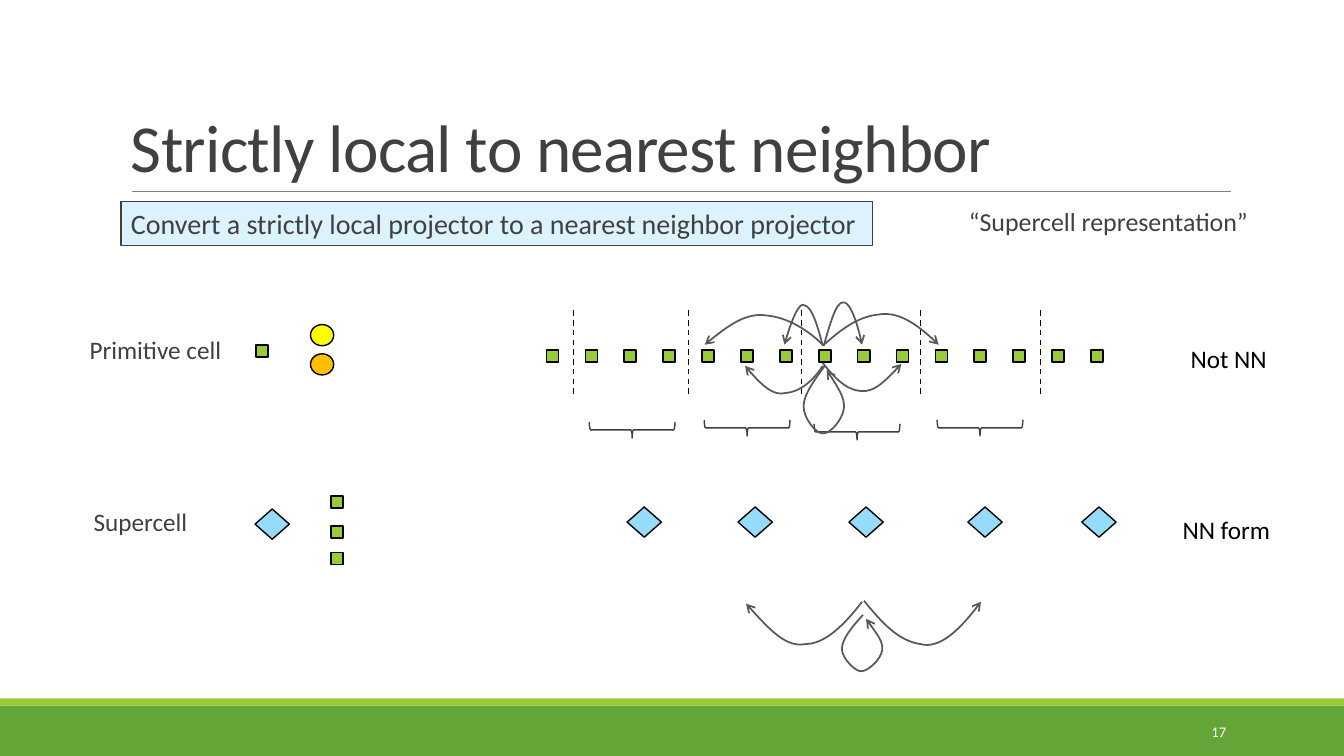
from dataclasses import dataclass

from lxml import etree
from pptx import Presentation
from pptx.dml.color import RGBColor
from pptx.enum.dml import MSO_LINE
from pptx.enum.shapes import MSO_CONNECTOR, MSO_SHAPE
from pptx.enum.text import MSO_ANCHOR, PP_ALIGN
from pptx.oxml.ns import qn
from pptx.util import Inches, Pt

RECTANGLE = MSO_SHAPE.RECTANGLE
ELLIPSE = MSO_SHAPE.OVAL
DIAMOND = MSO_SHAPE.DIAMOND
BRACE = MSO_SHAPE.LEFT_BRACE
STRAIGHT = MSO_CONNECTOR.STRAIGHT
DASH = MSO_LINE.DASH
TOP, MIDDLE, BOTTOM = MSO_ANCHOR.TOP, MSO_ANCHOR.MIDDLE, MSO_ANCHOR.BOTTOM
LEFT, RIGHT = PP_ALIGN.LEFT, PP_ALIGN.RIGHT

COLUMN = ROW = Inches(1)
COLUMNS, ROWS = 13.33, 7.5
SITE_SIZE = 0.12
SITE_STEP = 5.4 / 14
CELL_WIDTH, CELL_HEIGHT = 0.34, 0.3


@dataclass(frozen=True)
class Theme:
    font: str = "Calibri"
    title_size: float = 48
    callout_size: float = 20
    subtitle_size: float = 18.5
    label_size: float = 18
    number_size: float = 10.5
    text: str = "404040"
    black: str = "000000"
    white: str = "FFFFFF"
    footer: str = "63A537"
    accent: str = "99CB38"
    rule: str = "808080"
    arrow: str = "595959"
    supercell: str = "97DBFB"
    callout: str = "DCF3FE"
    yellow: str = "FFFF00"
    orange: str = "FFC000"


THEME = Theme()

PRIMITIVE_HOPS = [
    [(8.16, 3.43), (8.33, 3.28), (8.5, 3.14), (8.72, 3.12), (8.9, 3.09), (9.12, 3.23), (9.31, 3.42)],
    [(8.17, 3.43), (8.02, 3.28), (7.82, 3.15), (7.6, 3.13), (7.41, 3.1), (7.19, 3.25), (6.99, 3.42)],
    [(8.16, 3.6), (8.27, 3.74), (8.39, 3.87), (8.54, 3.88), (8.67, 3.89), (8.81, 3.75), (8.94, 3.61)],
    [(8.16, 3.63), (8.07, 3.77), (7.94, 3.89), (7.79, 3.9), (7.67, 3.93), (7.52, 3.79), (7.39, 3.63)],
    [(8.16, 3.43), (8.11, 3.23), (8.05, 3.04), (7.98, 3.03), (7.93, 2.99), (7.84, 3.2), (7.78, 3.42)],
    [(8.17, 3.43), (8.23, 3.22), (8.29, 3), (8.36, 3), (8.42, 2.99), (8.5, 3.18), (8.55, 3.42)],
    [(8.18, 3.63), (8.07, 3.78), (7.97, 3.92), (7.97, 4.03), (7.97, 4.15), (8.09, 4.3), (8.16, 4.3),
     (8.23, 4.31), (8.36, 4.16), (8.37, 4.05), (8.38, 3.95), (8.29, 3.81), (8.2, 3.67)],
]
SUPERCELL_HOPS = [
    [(8.57, 5.96), (8.74, 6.17), (8.91, 6.36), (9.13, 6.39), (9.31, 6.44), (9.54, 6.23), (9.73, 5.97)],
    [(8.55, 5.97), (8.39, 6.18), (8.19, 6.39), (7.99, 6.39), (7.8, 6.43), (7.59, 6.2), (7.4, 5.99)],
    [(8.56, 6.1), (8.45, 6.22), (8.35, 6.34), (8.35, 6.44), (8.35, 6.53), (8.48, 6.66), (8.54, 6.66),
     (8.61, 6.66), (8.74, 6.54), (8.75, 6.45), (8.76, 6.37), (8.67, 6.25), (8.59, 6.14)],
]


def place(left, top, width, height):
    return (round(left * COLUMN), round(top * ROW),
            round(width * COLUMN), round(height * ROW))


def color(value):
    return RGBColor.from_string(value)


def write_text(shape, text, size=THEME.label_size, ink=THEME.text, align=LEFT,
               anchor=TOP, spacing=None, tracking=None, side_inset=0.1):
    frame = shape.text_frame
    frame.word_wrap = True
    frame.vertical_anchor = anchor
    frame.margin_left = frame.margin_right = round(side_inset * COLUMN)
    paragraph = frame.paragraphs[0]
    paragraph.alignment = align
    if spacing:
        paragraph.line_spacing = spacing
    run = paragraph.add_run()
    run.text = text
    run.font.name = THEME.font
    run.font.size = Pt(size)
    run.font.color.rgb = color(ink)
    if tracking:
        run._r.get_or_add_rPr().set("spc", str(round(tracking * 100)))


def add_label(slide, box, text, **text_format):
    write_text(slide.shapes.add_textbox(*place(*box)), text, **text_format)


def add_figure(slide, kind, box, fill=None, line=None, weight=1, rotation=0):
    shape = slide.shapes.add_shape(kind, *place(*box))
    shape.shadow.inherit = False
    shape.rotation = rotation
    if fill:
        shape.fill.solid()
        shape.fill.fore_color.rgb = color(fill)
    else:
        shape.fill.background()
    if line:
        shape.line.color.rgb = color(line)
        shape.line.width = Pt(weight)
    else:
        shape.line.fill.background()
    return shape


def add_site(slide, left, top):
    add_figure(slide, RECTANGLE, (left, top, SITE_SIZE, SITE_SIZE),
               THEME.accent, THEME.black, 1.25)


def add_supercell(slide, left, top):
    add_figure(slide, DIAMOND, (left, top, CELL_WIDTH, CELL_HEIGHT),
               THEME.supercell, THEME.black)


def add_line(slide, start, end, ink, weight, dash=None):
    connector = slide.shapes.add_connector(STRAIGHT, *place(*start, *end))
    connector.line.color.rgb = color(ink)
    connector.line.width = Pt(weight)
    if dash:
        connector.line.dash_style = dash
    etree.SubElement(connector._element.spPr, qn("a:effectLst"))


def add_hop(slide, points):
    start, *controls = [(round(x * COLUMN), round(y * ROW)) for x, y in points]
    builder = slide.shapes.build_freeform(*start)
    builder.add_line_segments(controls, close=False)
    shape = builder.convert_to_shape()
    outline = next(shape._element.spPr.iter(qn("a:path")))
    segments = outline.findall(qn("a:lnTo"))
    for first in range(0, len(segments), 3):
        curve = etree.SubElement(outline, qn("a:cubicBezTo"))
        for segment in segments[first:first + 3]:
            curve.append(segment[0])
            outline.remove(segment)
    shape.shadow.inherit = False
    shape.fill.background()
    shape.line.color.rgb = color(THEME.arrow)
    shape.line.width = Pt(1.25)
    etree.SubElement(shape.line._get_or_add_ln(), qn("a:tailEnd"), type="arrow")


def add_frame(slide):
    add_figure(slide, RECTANGLE, (0, 7, COLUMNS, 0.5), THEME.footer)
    add_figure(slide, RECTANGLE, (0, 6.93, COLUMNS, 0.07), THEME.accent)
    add_line(slide, (1.31, 1.9), (12.21, 1.9), THEME.rule, 0.5)
    add_label(slide, (1.2, 0.31, 11, 1.59), "Strictly local to nearest neighbor",
              size=THEME.title_size, anchor=BOTTOM, spacing=0.85, tracking=-0.5)
    add_label(slide, (9.51, 2.05, 3.39, 0.39), "“Supercell representation”",
              size=THEME.subtitle_size, spacing=0.8)
    add_label(slide, (10.83, 7.06, 1.43, 0.4), "17", size=THEME.number_size,
              ink=THEME.white, align=RIGHT, anchor=MIDDLE)
    callout = add_figure(slide, RECTANGLE, (1.2, 2, 7.45, 0.44),
                         THEME.callout, THEME.text, 0.75)
    write_text(callout, "Convert a strictly local projector to a nearest neighbor projector",
               size=THEME.callout_size)


def add_primitive_chain(slide):
    add_label(slide, (0.79, 3.27, 1.56, 0.4), "Primitive cell")
    add_label(slide, (11.71, 3.36, 1.06, 0.4), "Not NN", ink=THEME.black)
    add_site(slide, 2.54, 3.42)
    for top, fill in ((3.22, THEME.yellow), (3.51, THEME.orange)):
        add_figure(slide, ELLIPSE, (3.08, top, 0.23, 0.21), fill, THEME.black)
    for index in range(15):
        add_site(slide, 5.42 + index * SITE_STEP, 3.47)
    for x in (5.69, 6.83, 7.95, 9.13, 10.32):
        add_line(slide, (x, 3.08), (x, 3.93), THEME.black, 1, DASH)
    for left, top in ((6.19, 3.84), (7.33, 3.82), (8.42, 3.86), (9.64, 3.82)):
        add_figure(slide, BRACE, (left, top, 0.16, 0.85), line=THEME.text, rotation=270)
    for points in PRIMITIVE_HOPS:
        add_hop(slide, points)


def add_supercell_chain(slide):
    add_label(slide, (0.83, 4.97, 1.56, 0.4), "Supercell")
    add_label(slide, (11.63, 5.05, 1.21, 0.4), "NN form", ink=THEME.black)
    add_supercell(slide, 2.53, 5.05)
    for top in (4.92, 5.22, 5.48):
        add_site(slide, 3.28, top)
    for left in (6.22, 7.32, 8.42, 9.6, 10.73):
        add_supercell(slide, left, 5.03)
    for points in SUPERCELL_HOPS:
        add_hop(slide, points)


def main():
    presentation = Presentation()
    presentation.slide_width = round(COLUMNS * COLUMN)
    presentation.slide_height = round(ROWS * ROW)
    slide = presentation.slides.add_slide(presentation.slide_layouts[6])
    add_frame(slide)
    add_primitive_chain(slide)
    add_supercell_chain(slide)
    presentation.save("out.pptx")


if __name__ == "__main__":
    main()
